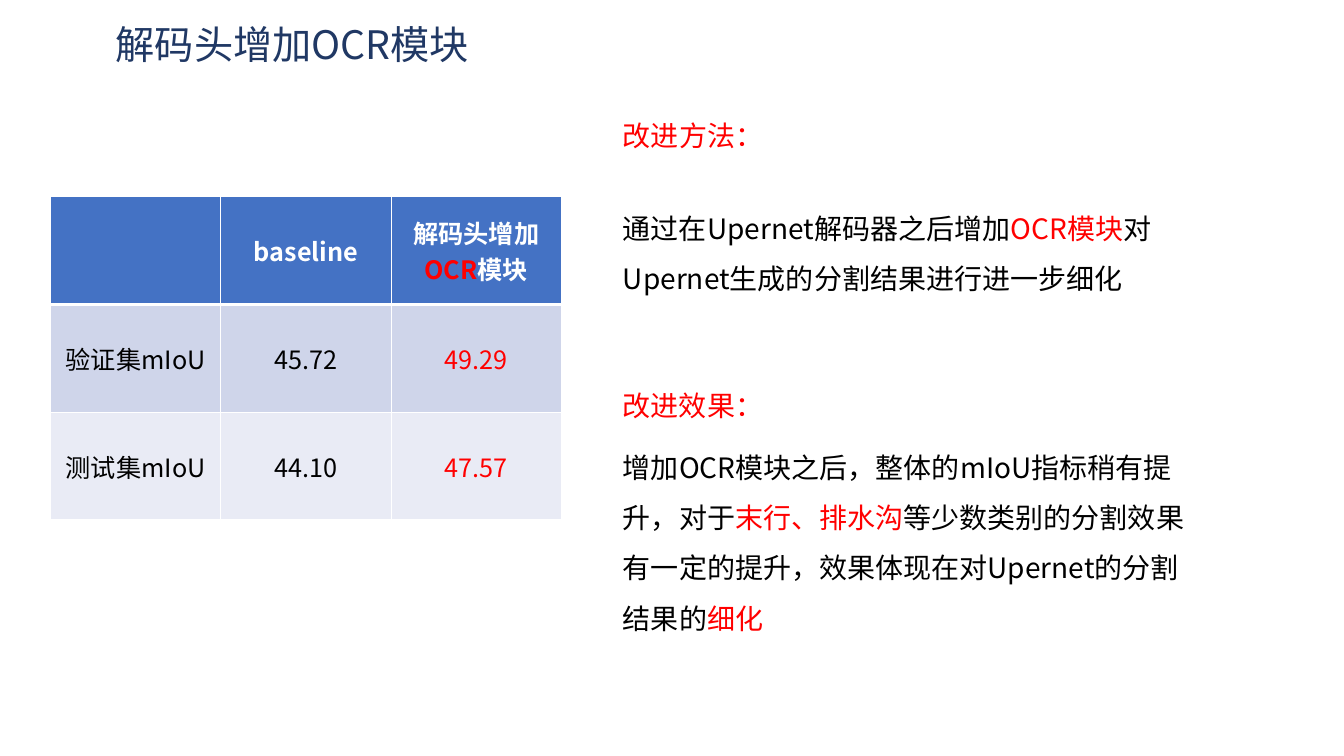
from dataclasses import dataclass

from lxml import etree
from pptx import Presentation
from pptx.dml.color import RGBColor
from pptx.enum.text import MSO_ANCHOR, MSO_AUTO_SIZE, PP_ALIGN
from pptx.oxml.ns import qn
from pptx.slide import Slide
from pptx.table import _Cell
from pptx.text.text import TextFrame
from pptx.util import Pt

PX = 9144
FACE = "Noto Sans CJK SC"
NAVY, RED, BLACK, WHITE = "203864", "FF0000", "000000", "FFFFFF"
FILLS = ["4472C4", "CFD5EA", "E9EBF5"]
TOP, MIDDLE = MSO_ANCHOR.TOP, MSO_ANCHOR.MIDDLE
LEFT, CENTER = PP_ALIGN.LEFT, PP_ALIGN.CENTER
GROW, FIXED = MSO_AUTO_SIZE.SHAPE_TO_FIT_TEXT, MSO_AUTO_SIZE.NONE
SIDE, SIZE = 169, 107


@dataclass
class Bit:
    text: str
    color: str = BLACK


@dataclass
class Note:
    x: int
    y: int
    w: int
    h: int
    bits: list[Bit]
    size: int = 20
    space: float = 1.0
    anchor: MSO_ANCHOR = TOP
    fit: MSO_AUTO_SIZE = GROW


NOTES = [
    Note(105, 25, 862, 43, [Bit("解码头增加OCR模块", NAVY)], 28, 0.9, MIDDLE, FIXED),
    Note(608, 113, 161, 44, [Bit("改进方法：", RED)]),
    Note(608, 188, 564, 105, [
        Bit("通过在Upernet解码器之后增加"),
        Bit("OCR模块", RED),
        Bit("对Upernet生成的分割结果进行进一步细化"),
    ], space=1.5),
    Note(608, 381, 170, 44, [Bit("改进效果：", RED)]),
    Note(608, 425, 578, 204, [
        Bit("增加OCR模块之后，整体的mIoU指标稍有提升，对于"),
        Bit("末行、排水沟", RED),
        Bit("等少数类别的分割效果有一定的提升，效果体现在对Upernet的分割结果的"),
        Bit("细化", RED),
    ], space=1.5),
]

ROWS = [
    [[], [Bit("baseline", WHITE)],
     [Bit("解码头增加", WHITE), Bit("OCR", RED), Bit("模块", WHITE)]],
    [[Bit("验证集mIoU")], [Bit("45.72")], [Bit("49.29", RED)]],
    [[Bit("测试集mIoU")], [Bit("44.10")], [Bit("47.57", RED)]],
]


def paint(code: str) -> RGBColor:
    return RGBColor.from_string(code)


def write(frame: TextFrame, bits: list[Bit], *, size: int, space: float = 1.0,
          align: PP_ALIGN = LEFT, bold: bool = False) -> None:
    para = frame.paragraphs[0]
    para.alignment = align
    para.line_spacing = space
    for bit in bits:
        run = para.add_run()
        run.text = bit.text
        font = run.font
        font.size = Pt(size)
        font.bold = bold
        font.color.rgb = paint(bit.color)
        font.name = FACE
        east = etree.SubElement(run._r.get_or_add_rPr(), qn("a:ea"))
        east.set("typeface", FACE)


def edge(cell: _Cell, row: int) -> None:
    thick = {"T": 3 if row == 1 else 1, "B": 3 if row == 0 else 1}
    props = cell._tc.get_or_add_tcPr()
    for spot, side in enumerate("LRTB"):
        line = etree.Element(qn(f"a:ln{side}"), w=str(Pt(thick.get(side, 1))))
        fill = etree.SubElement(line, qn("a:solidFill"))
        etree.SubElement(fill, qn("a:srgbClr"), val=WHITE)
        props.insert(spot, line)


def add_note(slide: Slide, note: Note) -> None:
    box = slide.shapes.add_textbox(note.x * PX, note.y * PX, note.w * PX, note.h * PX)
    frame = box.text_frame
    frame.word_wrap = True
    frame.auto_size = note.fit
    frame.vertical_anchor = note.anchor
    write(frame, note.bits, size=note.size, space=note.space)


def add_scores(slide: Slide) -> None:
    count = len(ROWS)
    wide = len(ROWS[0])
    grid = slide.shapes.add_table(
        count, wide, 50 * PX, 195 * PX, wide * SIDE * PX, count * SIZE * PX).table
    for row, cells in enumerate(ROWS):
        for col, bits in enumerate(cells):
            cell = grid.cell(row, col)
            cell.fill.solid()
            cell.fill.fore_color.rgb = paint(FILLS[row])
            cell.vertical_anchor = MIDDLE
            edge(cell, row)
            write(cell.text_frame, bits, size=18, align=CENTER, bold=row == 0)


def main() -> None:
    deck = Presentation()
    deck.slide_width = 1333 * PX
    deck.slide_height = 750 * PX
    slide = deck.slides.add_slide(deck.slide_layouts[6])
    add_scores(slide)
    for note in NOTES:
        add_note(slide, note)
    deck.save("out.pptx")


if __name__ == "__main__":
    main()
